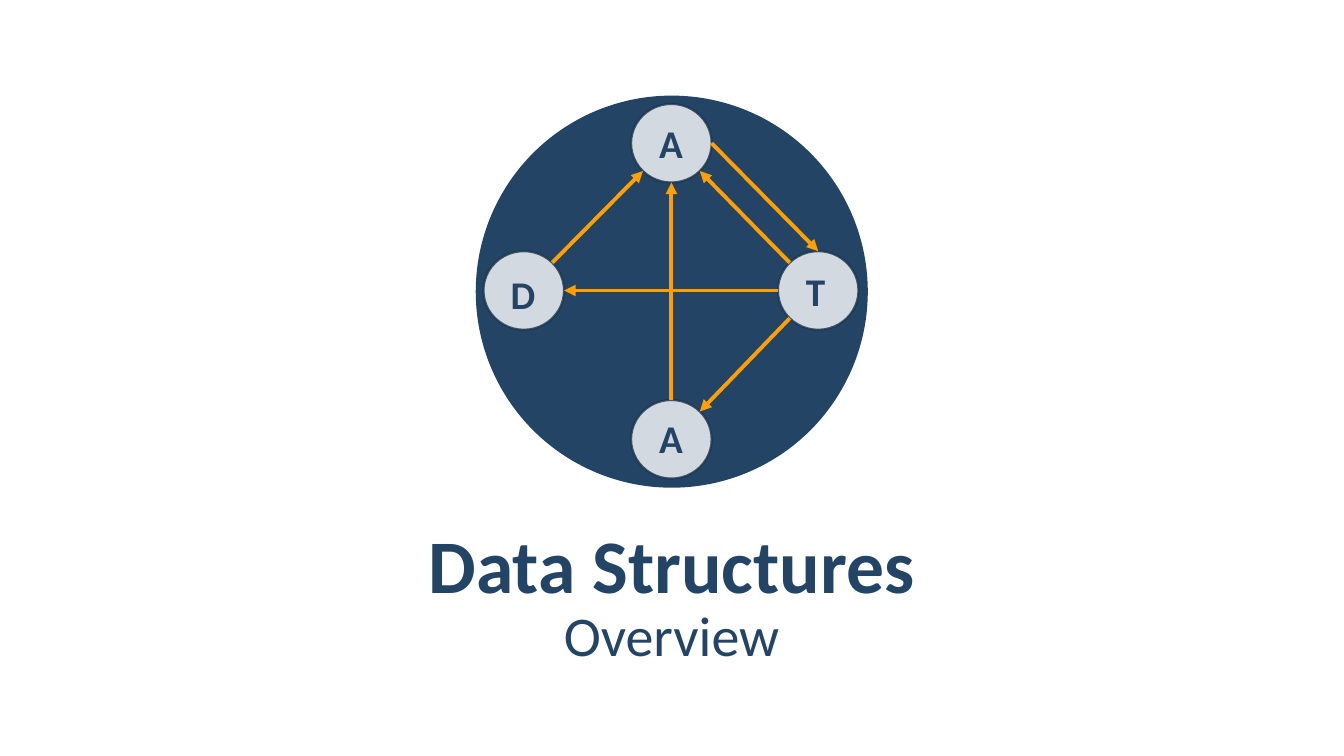
import math

import pptx
import pptx.dml.color
import pptx.enum.shapes
import pptx.enum.text
import pptx.oxml.ns
import pptx.util
from lxml import etree

Cm = pptx.util.Cm
Pt = pptx.util.Pt
NAVY = "234465"
ORANGE = "FFA000"
NODE_W, NODE_H = 2.03, 1.98
LABEL_W, LABEL_H = 1.42, 1.85
NODES = {
    "top": (16.92, 3.61),
    "left": (13.2, 7.32),
    "right": (20.62, 7.32),
    "bottom": (16.92, 11.07),
}
LABELS = [
    ("D", 12.47, 6.4),
    ("T", 19.91, 6.32),
    ("A", 16.21, 10.03),
    ("A", 16.21, 2.59),
]
ARROWS = [
    ("left", -45, "top", 135),
    ("top", 0, "right", -90),
    ("right", 135, "bottom", -45),
    ("bottom", -90, "top", 90),
    ("right", 180, "left", 0),
    ("right", -135, "top", 45),
]


def rgb(color):
    return pptx.dml.color.RGBColor.from_string(color)


def child(parent, tag, **attrs):
    return etree.SubElement(parent, pptx.oxml.ns.qn(tag), attrs)


def paint(fill, color, opacity=100):
    fill.solid()
    fill.fore_color.rgb = rgb(color)
    if opacity < 100:
        clr = fill._xPr.find(".//" + pptx.oxml.ns.qn("a:srgbClr"))
        child(clr, "a:alpha", val=str(opacity * 1000))


def add_ellipse(s, x, y, w, h, color, opacity=100, line=None):
    sp = s.shapes.add_shape(pptx.enum.shapes.MSO_SHAPE.OVAL,
                            Cm(x), Cm(y), Cm(w), Cm(h))
    sp.shadow.inherit = False
    paint(sp.fill, color, opacity)
    if line:
        sp.line.width = Pt(1.5)
        paint(sp.line.fill, line, opacity)
    else:
        sp.line.fill.background()


def set_text(sp, text, size, bold=False, align="LEFT", anchor="TOP",
             spacing=1.0, after=0, inset=(0.3, 0.1), wrap=True):
    tf = sp.text_frame
    tf.word_wrap = wrap
    tf.auto_size = pptx.enum.text.MSO_AUTO_SIZE.NONE
    tf.vertical_anchor = pptx.enum.text.MSO_ANCHOR[anchor]
    tf.margin_left = tf.margin_right = Cm(inset[0])
    tf.margin_top = tf.margin_bottom = Cm(inset[1])
    p = tf.paragraphs[0]
    p.alignment = pptx.enum.text.PP_ALIGN[align]
    p.line_spacing = spacing
    p.space_before = Pt(0)
    p.space_after = Pt(after)
    r = p.add_run()
    r.text = text
    r.font.name = "Calibri"
    r.font.size = Pt(size)
    r.font.bold = bold
    r.font.color.rgb = rgb(NAVY)


def add_label(s, text, x, y):
    sp = s.shapes.add_textbox(Cm(x), Cm(y), Cm(LABEL_W), Cm(LABEL_H))
    set_text(sp, text, 28, bold=True, spacing=1.1, inset=(0.4, 0.3))


def rim_point(node, angle):
    x, y = NODES[node]
    a = math.radians(angle)
    return (Cm(x + NODE_W / 2 * math.cos(a)),
            Cm(y + NODE_H / 2 * math.sin(a)))


def add_arrow(s, start, start_angle, end, end_angle):
    c = s.shapes.add_connector(pptx.enum.shapes.MSO_CONNECTOR.STRAIGHT,
                               *rim_point(start, start_angle),
                               *rim_point(end, end_angle))
    c.line.width = Pt(2.75)
    paint(c.line.fill, ORANGE)
    child(c.line._get_or_add_ln(), "a:tailEnd", type="triangle")
    child(c._element.spPr, "a:effectLst")


def add_headings(s):
    title = s.shapes.title
    title.left, title.top = Cm(1.7), Cm(13.08)
    title.width, title.height = Cm(30.45), Cm(2.13)
    overview = s.shapes.add_textbox(Cm(1.7), Cm(15.24), Cm(30.45), Cm(1.4))
    style = dict(align="CENTER", anchor="MIDDLE", spacing=1.05, after=6)
    set_text(title, "Data Structures", 54, bold=True, **style)
    set_text(overview, "Overview", 40, **style)


def main():
    prs = pptx.Presentation()
    prs.slide_width, prs.slide_height = Cm(33.87), Cm(19.05)
    s = prs.slides.add_slide(prs.slide_layouts[5])
    add_ellipse(s, 11.99, 2.41, 9.88, 9.88, NAVY)
    add_headings(s)
    for x, y in NODES.values():
        add_ellipse(s, x - NODE_W / 2, y - NODE_H / 2, NODE_W, NODE_H,
                    "FFFFFF", opacity=80, line="1A334C")
    for label in LABELS:
        add_label(s, *label)
    for arrow in ARROWS:
        add_arrow(s, *arrow)
    prs.save("out.pptx")


if __name__ == "__main__":
    main()
